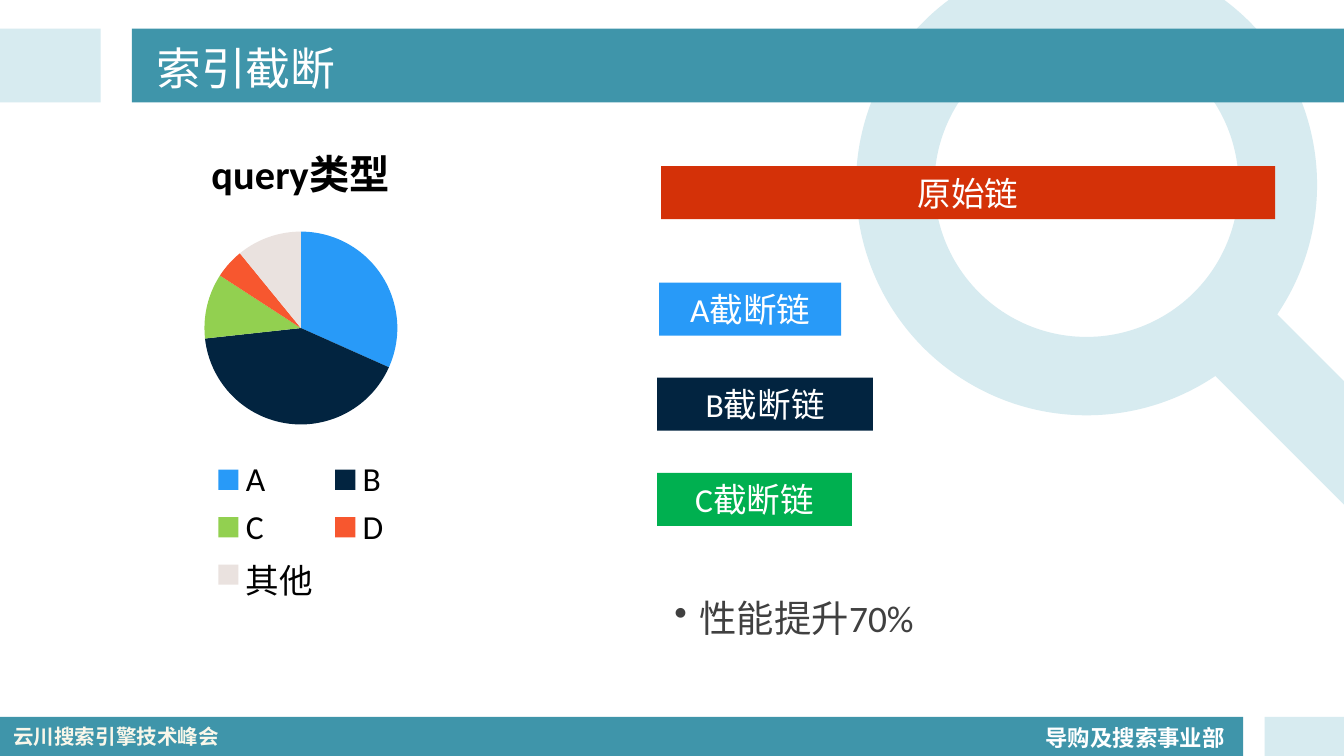
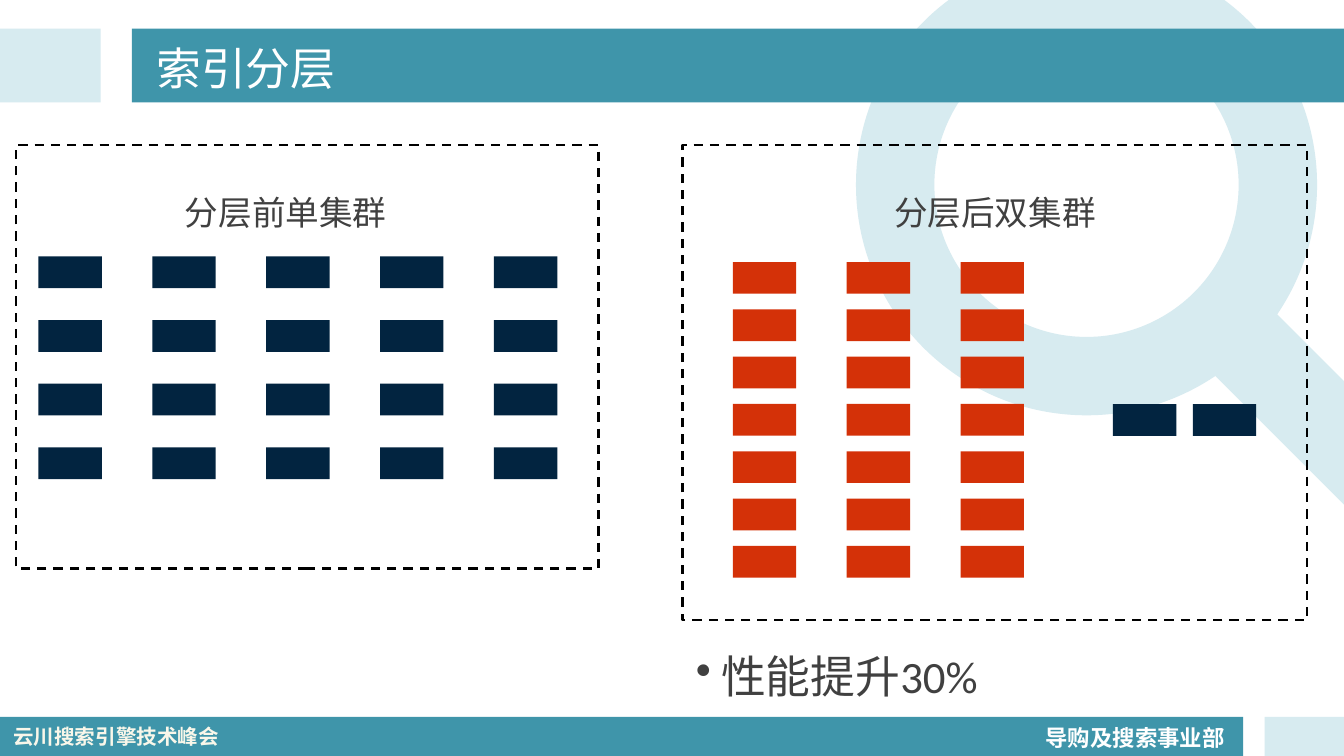
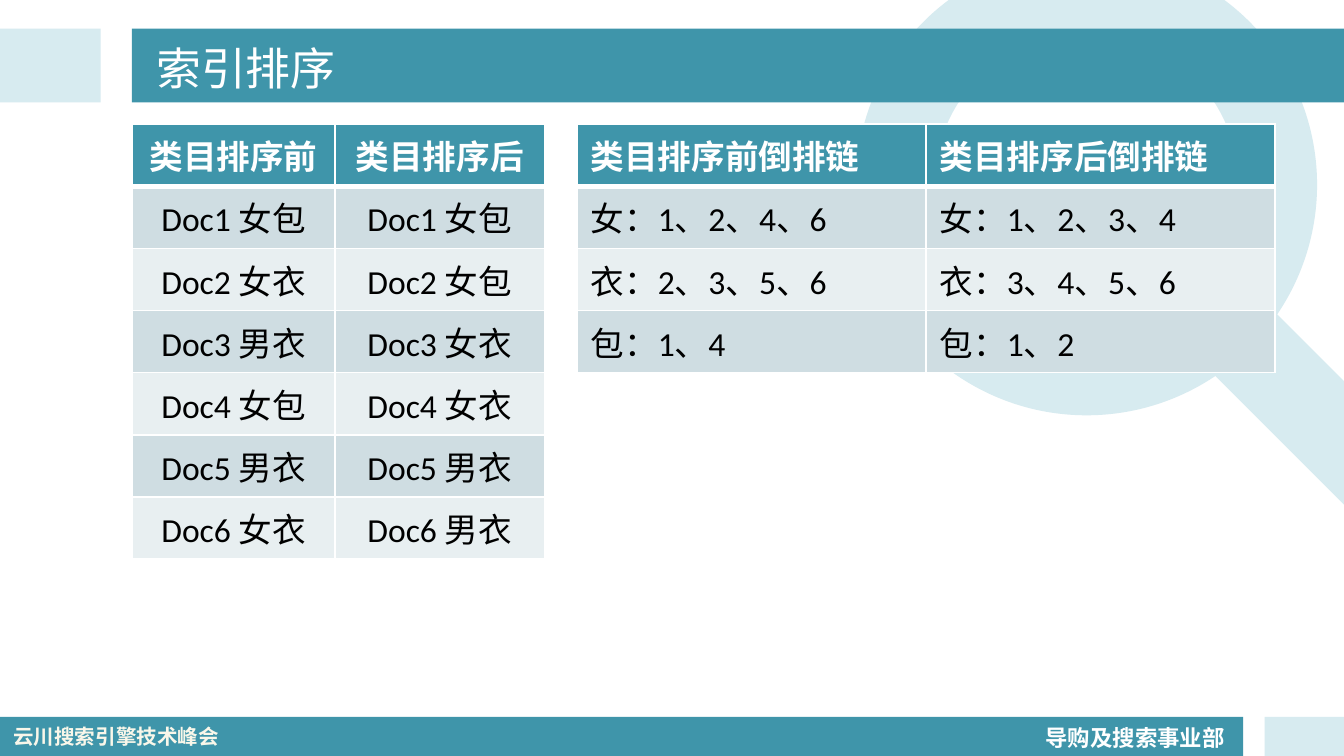
import pptx
import pptx.chart.data
import pptx.dml.color
import pptx.enum.chart
import pptx.enum.dml
import pptx.enum.shapes
import pptx.enum.text
import pptx.oxml
import pptx.oxml.ns
import pptx.util

Pt = pptx.util.Pt
RGBColor = pptx.dml.color.RGBColor
SHAPE = pptx.enum.shapes.MSO_SHAPE
ALIGN = pptx.enum.text.PP_ALIGN
ANCHOR = pptx.enum.text.MSO_ANCHOR
AUTO_SIZE = pptx.enum.text.MSO_AUTO_SIZE

# Colours and fonts
WHITE = RGBColor(0xFF, 0xFF, 0xFF)
BLACK = RGBColor(0x00, 0x00, 0x00)
TEAL = RGBColor(0x3F, 0x95, 0xAA)
PALE = RGBColor(0xD7, 0xEB, 0xF0)
CREAM = RGBColor(0xF9, 0xF7, 0xEA)
GREY = RGBColor(0x40, 0x40, 0x40)
NAVY = RGBColor(0x02, 0x24, 0x40)
BLUE = RGBColor(0x28, 0x9A, 0xF8)
RED = RGBColor(0xD4, 0x31, 0x08)
GREEN = RGBColor(0x00, 0xB0, 0x50)
LIME = RGBColor(0x92, 0xD0, 0x50)
ORANGE = RGBColor(0xF7, 0x57, 0x2F)
STONE = RGBColor(0xEA, 0xE2, 0xDF)
ROW_DARK = RGBColor(0xCF, 0xDD, 0xE2)
ROW_LIGHT = RGBColor(0xE8, 0xEF, 0xF1)
FONT = "Calibri"
CJK_FONT = "Noto Sans CJK SC"

NODE_W, NODE_H = 34, 17


def add_bullet(p, indent=13.5):
    pPr = p._p.get_or_add_pPr()
    pPr.set("marL", str(Pt(indent)))
    pPr.set("indent", str(-Pt(indent)))
    pPr.append(pptx.oxml.parse_xml(
        f'<a:buChar {pptx.oxml.ns.nsdecls("a")} char="•"/>'))


def write(tf, text, size=18, color=GREY, font=FONT, bold=False,
          align=ALIGN.LEFT, spacing=None, bullet=False):
    p = tf.paragraphs[0]
    if bullet:
        add_bullet(p)
    p.alignment = align
    if spacing:
        p.line_spacing = spacing
    r = p.add_run()
    r.text = text
    r.font.size = Pt(size)
    r.font.name = font
    r.font.bold = bold
    r.font.color.rgb = color


def add_text(slide, text, x, y, w, h, wrap=True, **fmt):
    tf = slide.shapes.add_textbox(Pt(x), Pt(y), Pt(w), Pt(h)).text_frame
    tf.word_wrap = wrap
    tf.auto_size = AUTO_SIZE.SHAPE_TO_FIT_TEXT
    write(tf, text, **fmt)


def add_block(slide, x, y, w, h, fill, text=None, kind=SHAPE.RECTANGLE):
    sp = slide.shapes.add_shape(kind, Pt(x), Pt(y), Pt(w), Pt(h))
    sp.shadow.inherit = False
    sp.line.fill.background()
    sp.fill.solid()
    sp.fill.fore_color.rgb = fill
    if text:
        sp.text_frame.vertical_anchor = ANCHOR.MIDDLE
        write(sp.text_frame, text, color=WHITE, align=ALIGN.CENTER)
    return sp


def add_dashed_frame(slide, x, y, w, h):
    sp = add_block(slide, x, y, w, h, WHITE)
    sp.fill.background()
    sp.line.color.rgb = BLACK
    sp.line.width = Pt(1.25)
    sp.line.dash_style = pptx.enum.dml.MSO_LINE.DASH


def add_nodes(slide, x, y, cols, rows, dx, dy, fill):
    for row in range(rows):
        for col in range(cols):
            add_block(slide, x + col * dx, y + row * dy, NODE_W, NODE_H, fill)


def add_slide(prs, title):
    slide = prs.slides.add_slide(prs.slide_layouts[5])

    # Magnifier
    lens = add_block(slide, 458.6, -24.5, 247, 247, PALE, kind=SHAPE.DONUT)
    lens.adjustments[0] = 0.17
    handle = add_block(slide, 623.5, 194.4, 154, 46.8, PALE,
                       kind=SHAPE.ROUNDED_RECTANGLE)
    handle.adjustments[0] = 0.5
    handle.rotation = 45

    # Footer and title bands
    add_block(slide, 0, 384, 666, 21, TEAL)
    add_block(slide, 677.5, 384, 42.5, 21, PALE)
    add_text(slide, "导购及搜索事业部", 553, 381.6, 111.6, 23.8, wrap=False,
             size=12, color=WHITE, bold=True, spacing=1.2)
    add_block(slide, 0, 15.3, 54, 39.6, PALE)
    add_block(slide, 70.7, 15.3, 649.3, 39.6, TEAL)
    add_text(slide, "云川搜索引擎技术峰会", 0, 384.3, 127.4, 20.7,
             size=11, color=CREAM, font=CJK_FONT, bold=True)

    # Title, brought in front of its band
    sp = slide.shapes.title
    sp.left, sp.top, sp.width, sp.height = Pt(76.5), Pt(16.5), Pt(608), Pt(39)
    sp.text_frame.auto_size = AUTO_SIZE.NONE
    sp.text_frame.vertical_anchor = ANCHOR.MIDDLE
    write(sp.text_frame, title, size=24, color=WHITE)
    sp.element.getparent().append(sp.element)
    return slide


def add_pie(slide, title, slices, x, y, w, h):
    data = pptx.chart.data.CategoryChartData()
    data.categories = [name for name, _, _ in slices]
    data.add_series(title, [value for _, value, _ in slices])
    chart = slide.shapes.add_chart(pptx.enum.chart.XL_CHART_TYPE.PIE,
                                   Pt(x), Pt(y), Pt(w), Pt(h), data).chart
    chart.font.size = Pt(18)
    chart.font.name = FONT
    chart.font.color.rgb = BLACK
    chart.has_title = True
    write(chart.chart_title.text_frame, title, size=21.6, color=BLACK,
          bold=True, align=ALIGN.CENTER)
    chart.has_legend = True
    chart.legend.position = pptx.enum.chart.XL_LEGEND_POSITION.BOTTOM
    chart.legend.include_in_layout = False
    plot = chart.plots[0]
    plot.vary_by_categories = True
    for i, (_, _, color) in enumerate(slices):
        fill = plot.series[0].points[i].format.fill
        fill.solid()
        fill.fore_color.rgb = color


def set_borders(cell, bottom):
    tcPr = cell._tc.get_or_add_tcPr()
    for i, (side, width) in enumerate(
            [("lnL", 1), ("lnR", 1), ("lnT", 1), ("lnB", bottom)]):
        tcPr.insert(i, pptx.oxml.parse_xml(
            f'<a:{side} {pptx.oxml.ns.nsdecls("a")} w="{Pt(width)}">'
            f'<a:solidFill><a:srgbClr val="{WHITE}"/></a:solidFill>'
            f'</a:{side}>'))


def add_grid(slide, rows, x, y, widths, align, row_h=29.2):
    table = slide.shapes.add_table(
        len(rows), len(widths), Pt(x), Pt(y),
        Pt(sum(widths)), Pt(row_h * len(rows))).table
    for col, width in zip(table.columns, widths):
        col.width = Pt(width)
    for i, texts in enumerate(rows):
        header = i == 0
        fill = TEAL if header else ROW_DARK if i % 2 else ROW_LIGHT
        for j, text in enumerate(texts):
            cell = table.cell(i, j)
            cell.fill.solid()
            cell.fill.fore_color.rgb = fill
            set_borders(cell, 3 if header else 1)
            write(cell.text_frame, text, color=WHITE if header else BLACK,
                  bold=header, align=align)


def build_truncation(prs):
    slide = add_slide(prs, "索引截断")
    slices = [("A", 32, BLUE), ("B", 42, NAVY), ("C", 11, LIME),
              ("D", 5, ORANGE), ("其他", 11, STONE)]
    add_pie(slide, "query类型", slices, 82, 60.5, 158.4, 266.4)

    chains = [("原始链", 354.2, 89, 329, RED),
              ("A截断链", 353.2, 151.4, 97.5, BLUE),
              ("B截断链", 352.1, 202.4, 115.5, NAVY),
              ("C截断链", 352.1, 253.4, 104.3, GREEN)]
    for text, x, y, w, fill in chains:
        add_block(slide, x, y, w, 28.4, fill, text)
    add_text(slide, "性能提升70%", 354.2, 310.3, 221, 34.6,
             size=20, spacing=1.2, bullet=True)


def build_layering(prs):
    slide = add_slide(prs, "索引分层")
    # Single cluster before, two clusters after
    add_nodes(slide, 20.6, 137.4, 5, 4, 61, 34.1, NAVY)
    add_nodes(slide, 392.6, 140.4, 3, 7, 61, 25.35, RED)
    add_nodes(slide, 596.2, 216.5, 2, 1, 42.8, 0, NAVY)
    add_dashed_frame(slide, 8.6, 77.7, 312, 227)
    add_dashed_frame(slide, 365.7, 77.7, 334.6, 254.6)
    for text, x in [("分层前单集群", 59.5), ("分层后双集群", 439.5)]:
        add_text(slide, text, x, 95, 187, 31.7,
                 align=ALIGN.CENTER, spacing=1.2)
    add_text(slide, "性能提升30%", 365.7, 338.4, 322.6, 39.6,
             size=24, spacing=1.2, bullet=True)


def build_sorting(prs):
    slide = add_slide(prs, "索引排序")
    docs = [("类目排序前", "类目排序后"),
            ("Doc1 女包", "Doc1 女包"),
            ("Doc2 女衣", "Doc2 女包"),
            ("Doc3 男衣", "Doc3 女衣"),
            ("Doc4 女包", "Doc4 女衣"),
            ("Doc5 男衣", "Doc5 男衣"),
            ("Doc6 女衣", "Doc6 男衣")]
    add_grid(slide, docs, 70.9, 66.5, [108.5, 112.3], ALIGN.CENTER)
    postings = [("类目排序前倒排链", "类目排序后倒排链"),
                ("女：1、2、4、6", "女：1、2、3、4"),
                ("衣：2、3、5、6", "衣：3、4、5、6"),
                ("包：1、4", "包：1、2")]
    add_grid(slide, postings, 309.2, 66.5, [187, 187], ALIGN.LEFT)


def main():
    prs = pptx.Presentation()
    prs.slide_width, prs.slide_height = Pt(720), Pt(405)
    build_truncation(prs)
    build_layering(prs)
    build_sorting(prs)
    prs.save("out.pptx")


if __name__ == "__main__":
    main()
